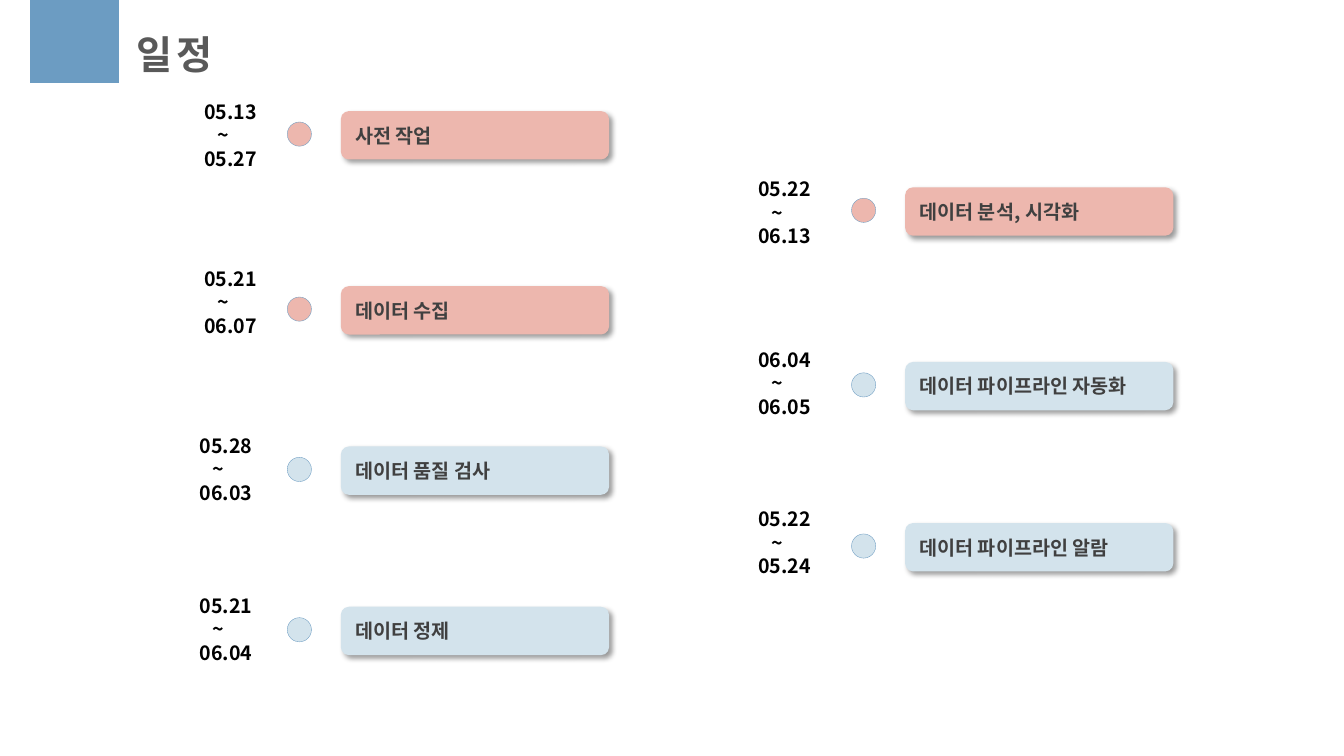
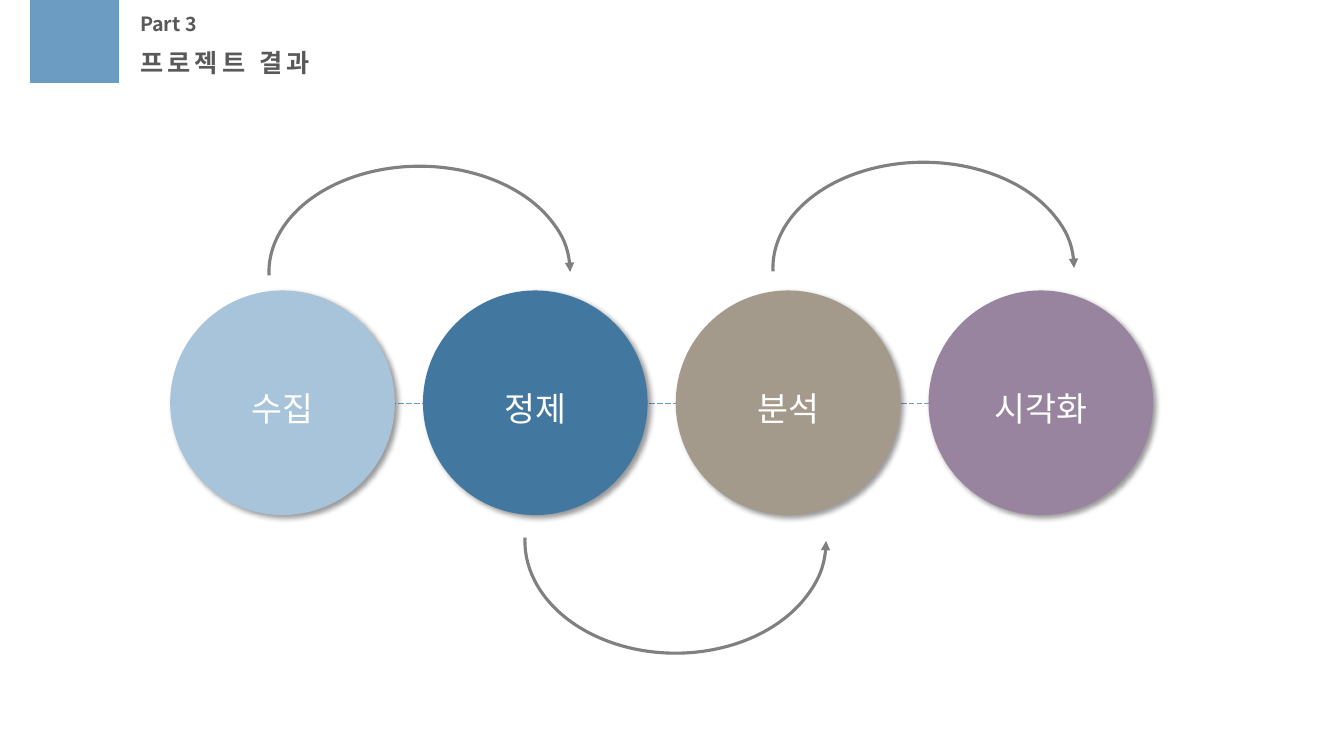
from lxml import etree
from pptx import Presentation
from pptx import util as u
from pptx.dml.color import RGBColor
from pptx.enum import dml, shapes, text
from pptx.oxml import ns

FONT = "Noto Sans CJK KR"
BLACK = RGBColor(0x00, 0x00, 0x00)
WHITE = RGBColor(0xFF, 0xFF, 0xFF)
TITLE_GREY = RGBColor(0x59, 0x59, 0x59)
CARD_GREY = RGBColor(0x40, 0x40, 0x40)
ARROW_GREY = RGBColor(0x80, 0x80, 0x80)
BLUE = RGBColor(0x6C, 0x9C, 0xC2)
PINK = RGBColor(0xED, 0xB7, 0xAE)
PALE_BLUE = RGBColor(0xD3, 0xE3, 0xEC)
LIGHT_BLUE = RGBColor(0xA7, 0xC4, 0xDA)
DEEP_BLUE = RGBColor(0x42, 0x77, 0xA0)
TAUPE = RGBColor(0xA4, 0x9A, 0x8C)
MAUVE = RGBColor(0x98, 0x84, 0x9F)

CARD_WIDTH, CARD_HEIGHT = 6.76, 1.22
DOT = 0.61
CIRCLE, CIRCLE_LEFT, CIRCLE_TOP, CIRCLE_PITCH = 5.66, 4.29, 7.32, 6.37

SCHEDULE = [
    (8.59, 2.8, 4.9, 2.39, PINK, "사전 작업", "05.13", "05.27"),
    (8.59, 7.21, 4.9, 6.6, PINK, "데이터 수집", "05.21", "06.07"),
    (8.59, 11.25, 4.78, 10.8, PALE_BLUE, "데이터 품질 검사", "05.28", "06.03"),
    (8.59, 15.29, 4.78, 14.83, PALE_BLUE, "데이터 정제", "05.21", "06.04"),
    (22.81, 4.72, 18.86, 4.34, PINK, "데이터 분석, 시각화", "05.22", "06.13"),
    (22.81, 9.12, 18.86, 8.64, PALE_BLUE, "데이터 파이프라인 자동화", "06.04", "06.05"),
    (22.81, 13.18, 18.86, 12.65, PALE_BLUE, "데이터 파이프라인 알람", "05.22", "05.24"),
]
STEPS = [("수집", LIGHT_BLUE), ("정제", DEEP_BLUE), ("분석", TAUPE), ("시각화", MAUVE)]
ARCS = [(6.78, 4.19, 5.33, False), (13.23, 10.8, 5.66, True), (19.48, 4.09, 5.33, False)]


def add_xml(parent, tag, **attributes):
    return etree.SubElement(parent, ns.qn(tag), attributes)


class Deck:
    """Builds the slides in one shared style."""

    def __init__(self):
        self.deck = Presentation()
        self.deck.slide_width, self.deck.slide_height = u.Cm(33.87), u.Cm(19.05)
        self.page = None

    def add_page(self, title, left, top, width, height, size):
        self.page = self.deck.slides.add_slide(self.deck.slide_layouts[5])
        self.shape(shapes.MSO_SHAPE.RECTANGLE, 0.76, 0, 2.24, 2.09, BLUE)
        box = self.page.shapes.title
        box.left, box.top, box.width, box.height = map(u.Cm, (left, top, width, height))
        frame = box.text_frame
        frame.text = title
        frame.word_wrap = False
        frame.auto_size = text.MSO_AUTO_SIZE.NONE
        frame.vertical_anchor = text.MSO_ANCHOR.TOP
        self.style(frame.paragraphs[0], size, TITLE_GREY, bold=True, spacing=300)

    def style(self, para, size, color, bold=False, align=text.PP_ALIGN.LEFT, spacing=0):
        para.alignment = align
        font = para.font
        font.size, font.bold, font.name = u.Pt(size), bold, FONT
        font.color.rgb = color
        properties = para._p.pPr.find(ns.qn("a:defRPr"))
        properties.set("spc", str(spacing))
        latin = properties.find(ns.qn("a:latin"))
        latin.addnext(etree.Element(ns.qn("a:ea"), typeface=FONT))

    def shape(self, kind, left, top, width, height, fill=None, shadow=False):
        box = self.page.shapes.add_shape(kind, *map(u.Cm, (left, top, width, height)))
        box.shadow.inherit = False
        box.line.fill.background()
        if fill is None:
            box.fill.background()
        else:
            box.fill.solid()
            box.fill.fore_color.rgb = fill
        if shadow:
            effects = box._element.spPr.find(ns.qn("a:effectLst"))
            outer = add_xml(effects, "a:outerShdw", blurRad=str(u.Pt(4)), dist=str(u.Pt(3)),
                            dir="2700000", algn="tl", rotWithShape="0")
            black = add_xml(outer, "a:srgbClr", val=str(BLACK))
            add_xml(black, "a:alpha", val="40000")
        return box

    def label(self, lines, left, top, width, height, size, color):
        box = self.page.shapes.add_textbox(*map(u.Cm, (left, top, width, height)))
        frame = box.text_frame
        frame.word_wrap = True
        frame.text = "\n".join(lines)
        for para in frame.paragraphs:
            self.style(para, size, color, bold=True)
        return frame

    def card(self, caption, left, top, fill):
        box = self.shape(shapes.MSO_SHAPE.ROUNDED_RECTANGLE, left, top,
                         CARD_WIDTH, CARD_HEIGHT, fill, shadow=True)
        frame = box.text_frame
        frame.text = caption
        frame.margin_left = u.Cm(0.3)
        frame.vertical_anchor = text.MSO_ANCHOR.MIDDLE
        self.style(frame.paragraphs[0], 14, CARD_GREY, bold=True)

    def dot(self, left, top, fill):
        box = self.shape(shapes.MSO_SHAPE.OVAL, left, top, DOT, DOT, fill)
        box.line.color.rgb = BLUE
        box.line.width = u.Pt(0.25)

    def period(self, start, end, left, top):
        frame = self.label([start, "~", end], left, top, 2.1, 2.06, 14, BLACK)
        frame.paragraphs[1]._p.pPr.set("marL", str(u.Cm(0.33)))

    def circle(self, caption, left, fill):
        box = self.shape(shapes.MSO_SHAPE.OVAL, left, CIRCLE_TOP, CIRCLE, CIRCLE, fill, shadow=True)
        frame = box.text_frame
        frame.text = caption
        frame.margin_top = u.Cm(0.38)
        frame.vertical_anchor = text.MSO_ANCHOR.MIDDLE
        self.style(frame.paragraphs[0], 24, WHITE, align=text.PP_ALIGN.CENTER)

    def dashed_line(self, left, right, y):
        line = self.page.shapes.add_connector(
            shapes.MSO_CONNECTOR.STRAIGHT, *map(u.Cm, (left, y, right, y)))
        line.line.color.rgb = BLUE
        line.line.width = u.Pt(0.5)
        line.line.dash_style = dml.MSO_LINE.LONG_DASH
        add_xml(line._element.spPr, "a:effectLst")

    def arc_arrow(self, left, top, height, flipped):
        arc = self.shape(shapes.MSO_SHAPE.ARC, left, top, 7.59, height)
        arc.adjustments[0], arc.adjustments[1] = 107.24, 0
        arc.line.color.rgb = ARROW_GREY
        arc.line.width = u.Pt(2.25)
        add_xml(arc.line._get_or_add_ln(), "a:tailEnd", type="triangle")
        if flipped:
            arc._element.spPr.xfrm.set("flipV", "1")


def build_schedule(deck):
    deck.add_page("일정", 3.18, 0.64, 2.72, 1.45, 28)
    for left, top, date_left, date_top, fill, caption, start, end in SCHEDULE:
        deck.dot(left - 1.35, top + (CARD_HEIGHT - DOT) / 2 - 0.03, fill)
        deck.card(caption, left, top, fill)
        deck.period(start, end, date_left, date_top)


def build_results(deck):
    deck.add_page("프로젝트 결과", 3.28, 1.07, 5.33, 1.02, 18)
    deck.label(["Part 3"], 3.28, 0.18, 1.96, 0.86, 14, TITLE_GREY)
    deck.dashed_line(CIRCLE_LEFT, 29.03, 10.16)
    for index, (caption, fill) in enumerate(STEPS):
        deck.circle(caption, CIRCLE_LEFT + index * CIRCLE_PITCH, fill)
    for arc in ARCS:
        deck.arc_arrow(*arc)


def main():
    deck = Deck()
    build_schedule(deck)
    build_results(deck)
    deck.deck.save("out.pptx")


if __name__ == "__main__":
    main()
